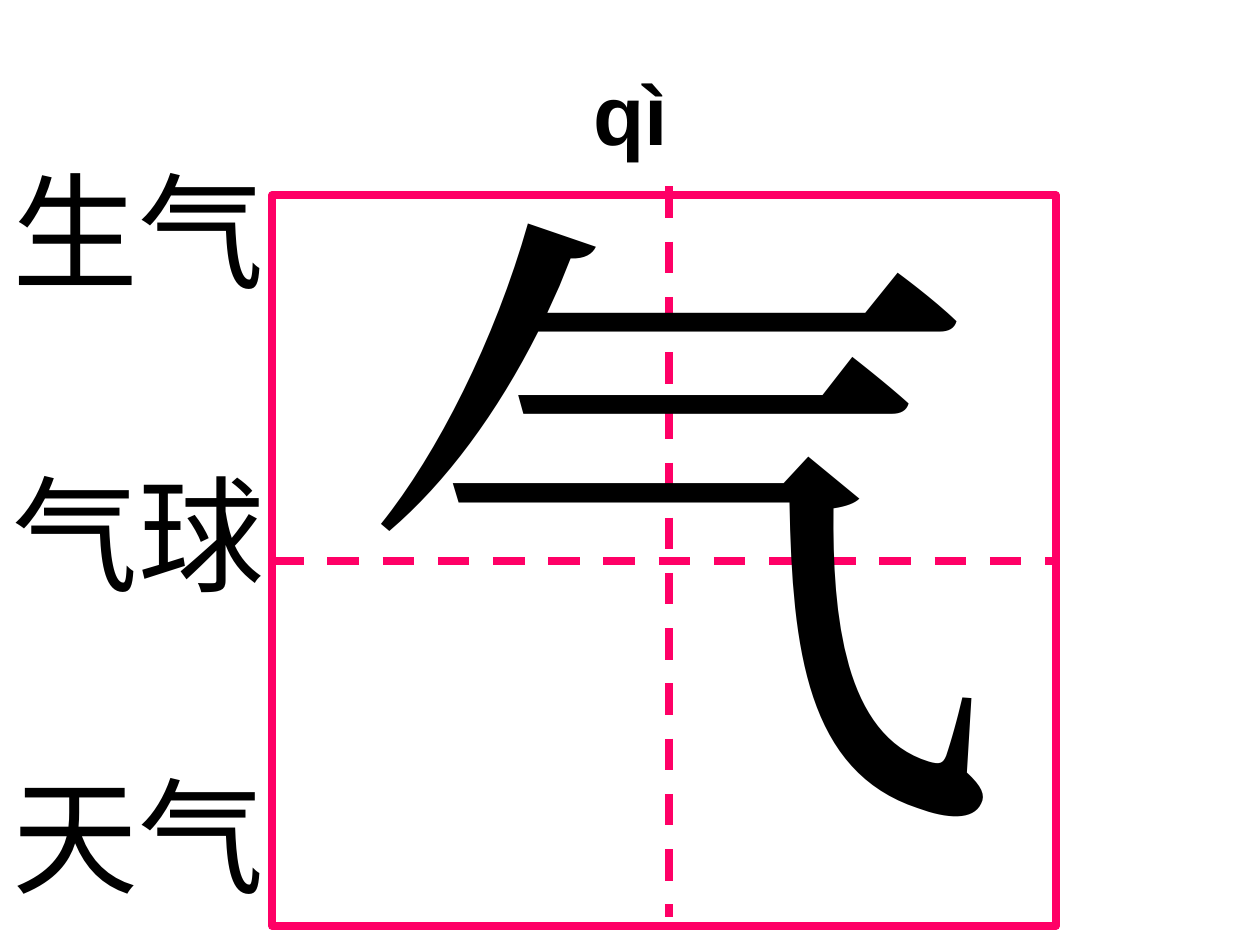
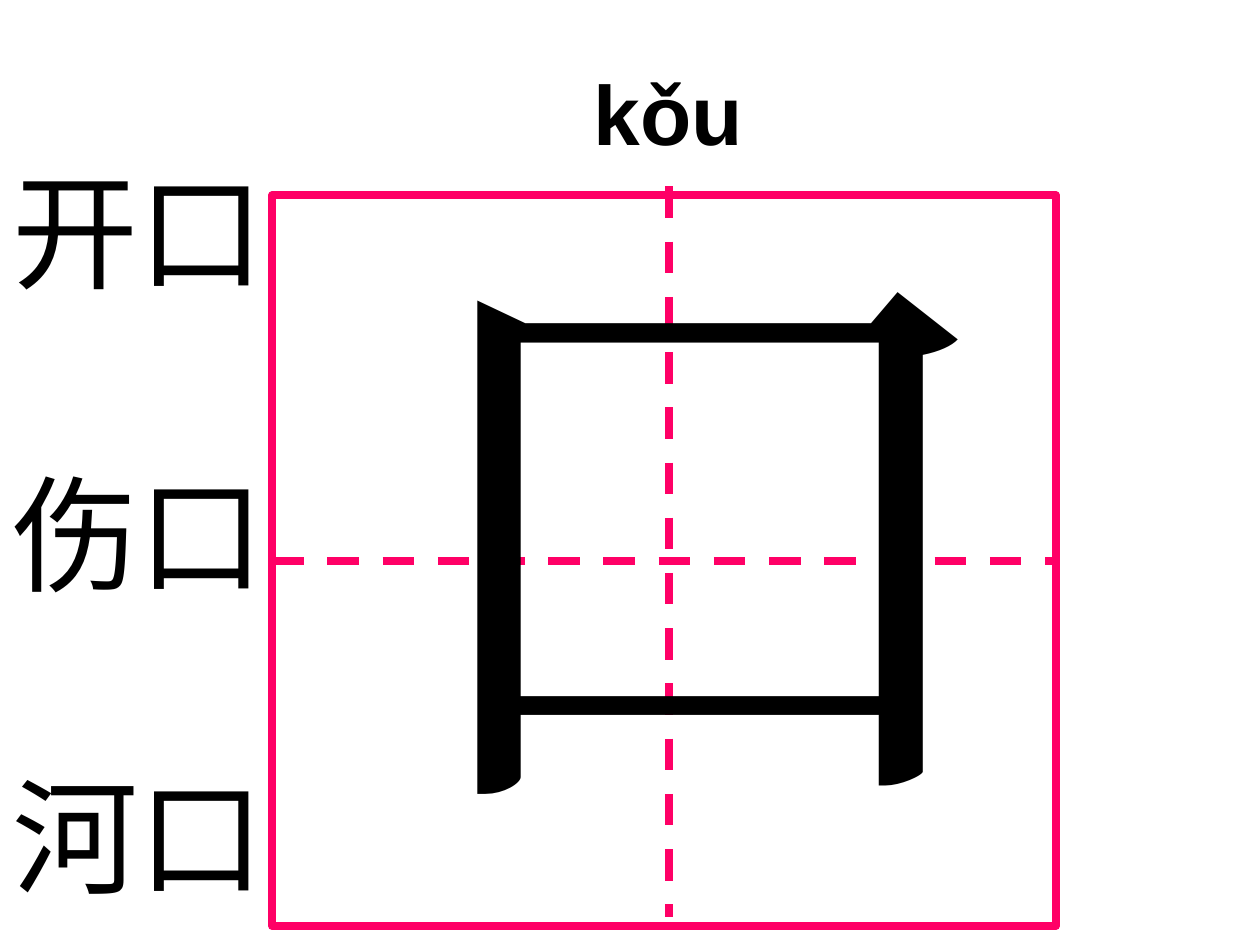
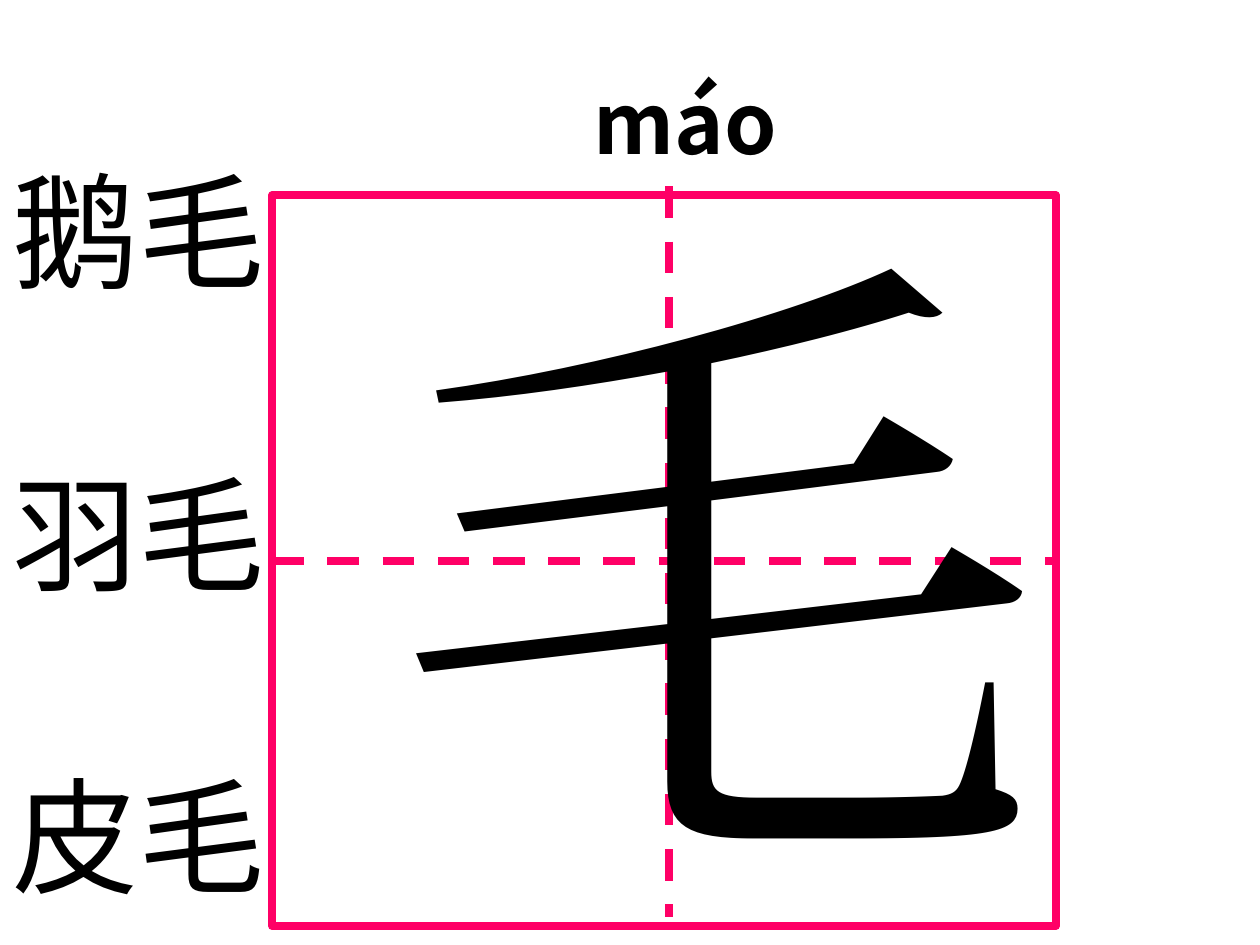
from dataclasses import dataclass

from lxml import etree
from pptx import Presentation
from pptx import util as u
from pptx.dml.color import RGBColor
from pptx.enum import dml, shapes, text
from pptx.oxml import ns


@dataclass(frozen=True)
class Theme:
    ink: RGBColor = RGBColor(0x00, 0x00, 0x00)
    grid: RGBColor = RGBColor(0xFF, 0x00, 0x66)
    sans: str = "Arial"
    serif: str = "Times New Roman"
    chinese: str = "Noto Sans CJK SC"
    pinyin_size: int = 48
    glyph_size: int = 370
    word_size: int = 72
    grid_width: float = 4.5
    leading: float = 1.2


@dataclass(frozen=True)
class Box:
    left: float
    top: float
    width: float
    height: float

    def emu(self):
        return [u.Inches(v) for v in (self.left, self.top, self.width, self.height)]


@dataclass(frozen=True)
class Card:
    pinyin: str
    glyph: str
    words: tuple
    glyph_left: float
    glyph_top: float = 0.91
    pinyin_font: str = Theme.sans
    pinyin_leading: float = Theme.leading


THEME = Theme()
PINYIN_BOX = Box(4.61, 0.44, 3.23, 0.9)
GRID_BOX = Box(2.16, 1.55, 6.22, 5.8)
WORDS_BOX = Box(0, 1.17, 2.66, 6.1)
GLYPH_WIDTH, GLYPH_HEIGHT = 5.34, 6.27

CARDS = [
    Card("qì", "气", ("生气", "气球", "天气"), 2.72),
    Card("kǒu", "口", ("开口", "伤口", "河口"), 2.88),
    Card("máo", "毛", ("鹅毛", "羽毛", "皮毛"), 3.03, 1.23, THEME.chinese, 1.3),
]


def place(shape, box):
    shape.left, shape.top, shape.width, shape.height = box.emu()


def write(shape, lines, font, size, bold=False, wrap=True, leading=THEME.leading):
    """Fill a frame with left-aligned lines, one empty line's height apart."""
    frame = shape.text_frame
    frame.text = "\n".join(lines)
    frame.word_wrap = wrap
    frame.auto_size = text.MSO_AUTO_SIZE.NONE
    frame.vertical_anchor = text.MSO_ANCHOR.TOP
    for index, para in enumerate(frame.paragraphs):
        props = para._p.get_or_add_pPr()
        props.set("marL", "0")
        props.set("indent", "0")
        etree.SubElement(props, ns.qn("a:buNone"))
        para.alignment = text.PP_ALIGN.LEFT
        para.line_spacing = u.Pt(size * leading)
        para.space_before = u.Pt(size * leading if index else 0)
        para.space_after = u.Pt(0)
        para.font.name = font
        para.font.size = u.Pt(size)
        para.font.bold = bold
        para.font.color.rgb = THEME.ink
        # East Asian characters follow the same font
        for span in para.runs:
            east = etree.SubElement(span._r.get_or_add_rPr(), ns.qn("a:ea"))
            east.set("typeface", font)


def style_line(line):
    line.color.rgb = THEME.grid
    line.width = u.Pt(THEME.grid_width)


def add_guide(parent, start, end):
    points = [u.Inches(v) for v in (*start, *end)]
    guide = parent.add_connector(shapes.MSO_CONNECTOR.STRAIGHT, *points)
    style_line(guide.line)
    guide.line.dash_style = dml.MSO_LINE.DASH
    etree.SubElement(guide._element.spPr, ns.qn("a:effectLst"))
    return guide


def add_writing_grid(page, box):
    """Square frame with a dashed cross."""
    group = page.shapes.add_group_shape()
    frame = group.shapes.add_shape(shapes.MSO_SHAPE.RECTANGLE, *box.emu())
    frame.shadow.inherit = False
    frame.fill.background()
    style_line(frame.line)

    middle = box.top + box.height / 2
    across = add_guide(group.shapes, (box.left, middle), (box.left + box.width, middle))
    across.begin_connect(frame, 1)
    across.end_connect(frame, 3)

    centre = box.left + box.width / 2 + 0.04
    rise = 0.07
    add_guide(page.shapes, (centre, box.top - rise),
              (centre, box.top + box.height - rise))


def add_glyph(page, glyph, box):
    label = page.shapes.add_textbox(*box.emu())
    write(label, [glyph], THEME.serif, THEME.glyph_size, wrap=False)


def add_card(deck, card):
    page = deck.slides.add_slide(deck.slide_layouts[1])

    # Pinyin heading and example words
    title, body = page.shapes.title, page.placeholders[1]
    place(title, PINYIN_BOX)
    write(title, [card.pinyin], card.pinyin_font, THEME.pinyin_size,
          bold=True, leading=card.pinyin_leading)
    place(body, WORDS_BOX)
    write(body, card.words, THEME.sans, THEME.word_size)

    # Large character on its writing grid
    add_writing_grid(page, GRID_BOX)
    add_glyph(page, card.glyph,
              Box(card.glyph_left, card.glyph_top, GLYPH_WIDTH, GLYPH_HEIGHT))


def main():
    deck = Presentation()
    deck.slide_width, deck.slide_height = u.Inches(10), u.Inches(7.5)
    for card in CARDS:
        add_card(deck, card)
    deck.save("out.pptx")


if __name__ == "__main__":
    main()
